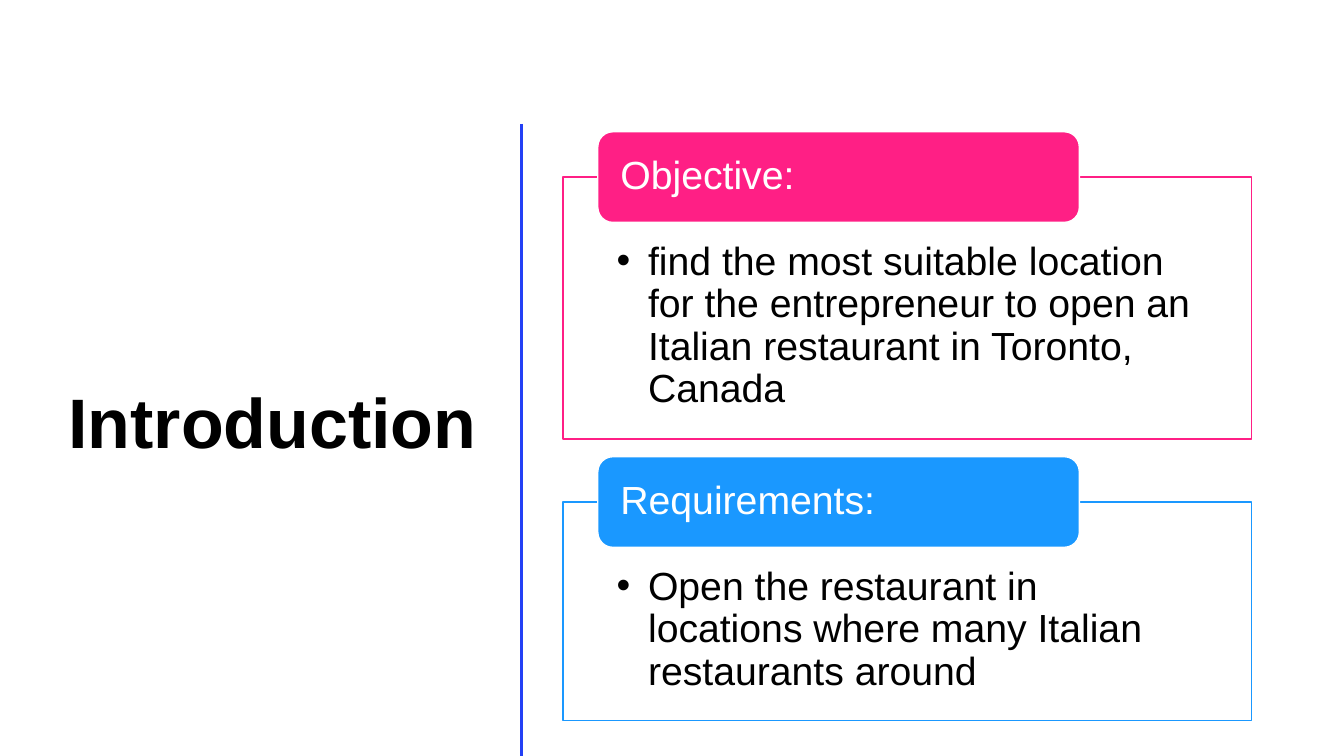
from lxml import etree
from pptx import Presentation
from pptx.dml.color import RGBColor
from pptx.enum.shapes import MSO_CONNECTOR, MSO_SHAPE
from pptx.enum.text import MSO_ANCHOR, PP_ALIGN
from pptx.oxml.ns import qn
from pptx.util import Pt

RECT, ROUNDED = MSO_SHAPE.RECTANGLE, MSO_SHAPE.ROUNDED_RECTANGLE
STRAIGHT = MSO_CONNECTOR.STRAIGHT
TOP, MIDDLE = MSO_ANCHOR.TOP, MSO_ANCHOR.MIDDLE
LEFT, RIGHT = PP_ALIGN.LEFT, PP_ALIGN.RIGHT


def rgb(code):
    return RGBColor.from_string(code)


def write(sp, text, size, color, align, anchor, insets, bold=False):
    tf = sp.text_frame
    tf.word_wrap = True
    tf.vertical_anchor = anchor
    tf.margin_left, tf.margin_top, tf.margin_right, tf.margin_bottom = map(Pt, insets)
    tf.text = text
    p = tf.paragraphs[0]
    p.alignment = align
    p.line_spacing = 0.9
    font = p.runs[0].font
    font.name, font.size, font.bold = "Arial", Pt(size), bold
    font.color.rgb = rgb(color)
    return p


prs = Presentation()
prs.slide_width, prs.slide_height = Pt(960), Pt(540)
s = prs.slides.add_slide(prs.slide_layouts[6])

# Title
title = s.shapes.add_textbox(Pt(37.4), Pt(84.2), Pt(310.4), Pt(440))
write(title, "Introduction", 50, "000000", RIGHT, MIDDLE, (7.2, 3.6, 7.2, 3.6), bold=True)

# Vertical divider
divider = s.shapes.add_connector(STRAIGHT, Pt(372.4), Pt(88.5), Pt(372.4), Pt(540))
divider.line.color.rgb = rgb("2340F5")
divider.line.width = Pt(2)
etree.SubElement(divider._element.spPr, qn("a:effectLst"))

# Panels: heading, body, colour, top and height of the frame
panels = [
    ("Objective:",
     "find the most suitable location for the entrepreneur to open an "
     "Italian restaurant in Toronto, Canada", "FF1F85", 126.5, 187.2),
    ("Requirements:",
     "Open the restaurant in locations where many Italian restaurants around",
     "1A98FF", 358.6, 156.2),
]
for heading, body, color, top, height in panels:
    frame = s.shapes.add_shape(RECT, Pt(402.2), Pt(top), Pt(491.8), Pt(height))
    tab = s.shapes.add_shape(ROUNDED, Pt(427), Pt(top - 32.4), Pt(344), Pt(64.8))
    for sp, fill, line in ((frame, "FFFFFF", color), (tab, color, "FFFFFF")):
        sp.shadow.inherit = False
        sp.fill.solid()
        sp.fill.fore_color.rgb = rgb(fill)
        sp.line.color.rgb = rgb(line)
        sp.line.width = Pt(1)

    write(tab, heading, 28, "FFFFFF", LEFT, MIDDLE, (13, 0, 13, 0))
    p = write(frame, body, 28, "000000", LEFT, TOP, (38.2, 46, 38.2, 16))

    # Bullet with hanging indent
    pPr = p._p.get_or_add_pPr()
    pPr.set("marL", str(Pt(22.5)))
    pPr.set("indent", str(-Pt(22.5)))
    etree.SubElement(pPr, qn("a:buFont")).set("typeface", "Arial")
    etree.SubElement(pPr, qn("a:buChar")).set("char", "•")

prs.save("out.pptx")
